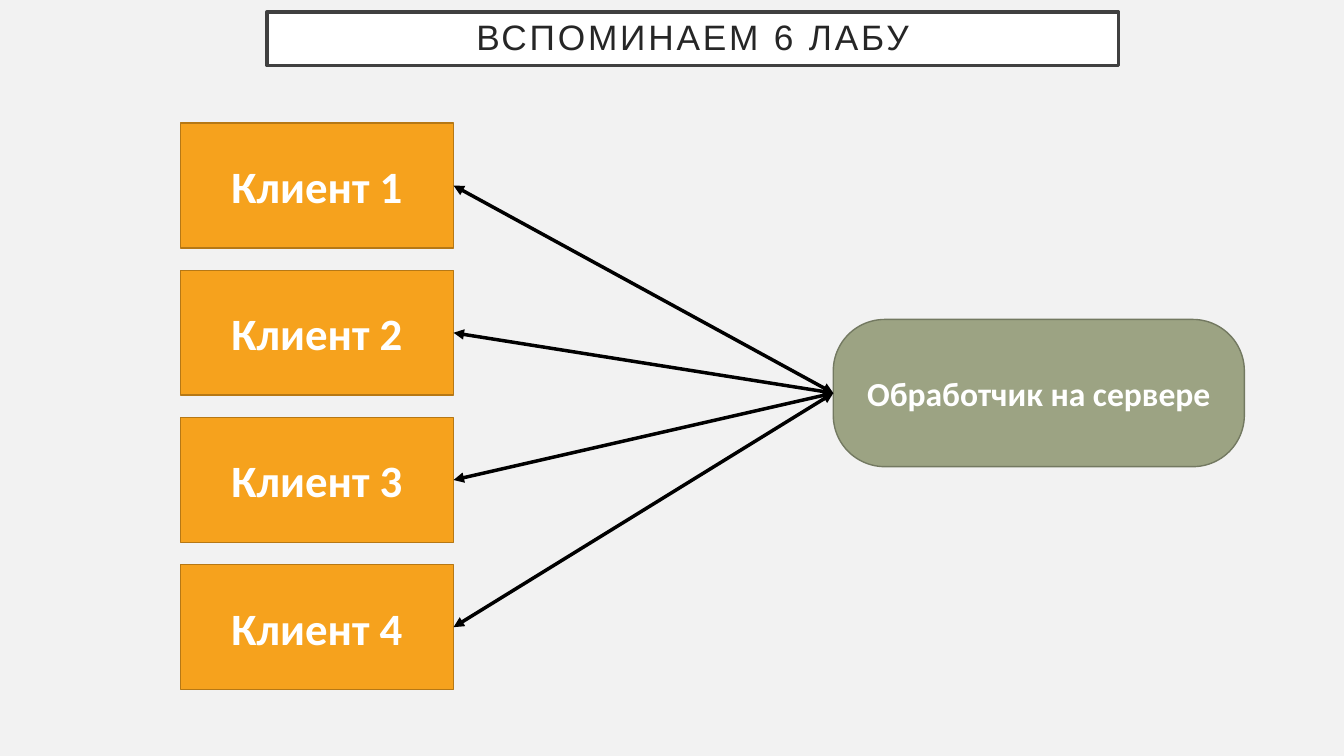
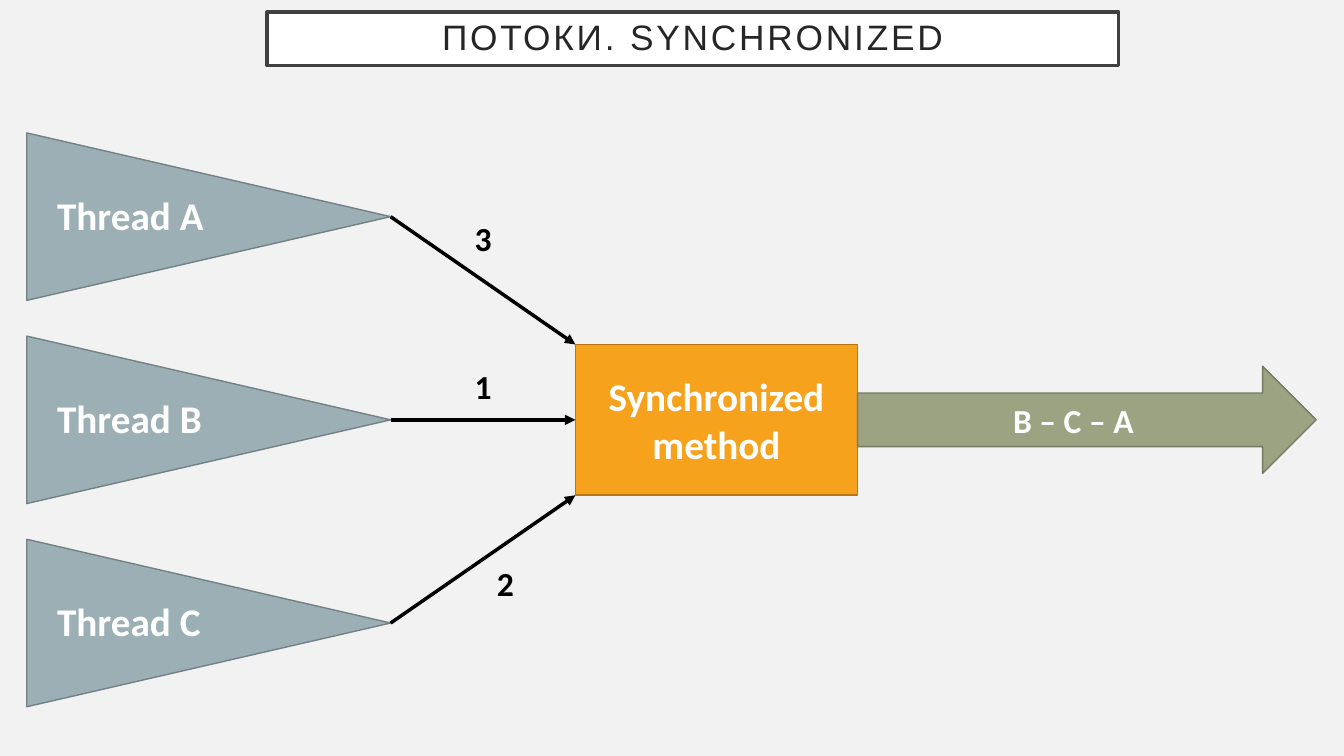
from dataclasses import dataclass

from lxml import etree
from pptx import Presentation
from pptx.dml.color import RGBColor
from pptx.enum.shapes import MSO_CONNECTOR, MSO_SHAPE
from pptx.enum.text import MSO_ANCHOR, MSO_AUTO_SIZE, PP_ALIGN
from pptx.oxml.ns import qn
from pptx.util import Cm, Pt

RECT = MSO_SHAPE.RECTANGLE
ROUND = MSO_SHAPE.ROUNDED_RECTANGLE
CONE = MSO_SHAPE.ISOSCELES_TRIANGLE
ARROW = MSO_SHAPE.RIGHT_ARROW
STRAIGHT = MSO_CONNECTOR.STRAIGHT
MIDDLE = MSO_ANCHOR.MIDDLE
GROW = MSO_AUTO_SIZE.SHAPE_TO_FIT_TEXT
LEFT, CENTER = PP_ALIGN.LEFT, PP_ALIGN.CENTER
WEST, EAST = 1, 3


@dataclass(frozen=True)
class Theme:
    back: str = "F2F2F2"
    white: str = "FFFFFF"
    black: str = "000000"
    ink: str = "262626"
    frame: tuple = ("FFFFFF", "404040")
    orange: tuple = ("F6A21D", "B67815")
    green: tuple = ("9CA383", "737961")
    blue: tuple = ("9BAFB5", "738186")
    head: str = "Arial"
    body: str = "Calibri"
    title: float = 25.2
    large: int = 32
    medium: int = 28
    small: int = 24
    thin: int = 1
    thick: float = 2.5


def apply(target, values):
    for name, value in values.items():
        setattr(target, name, value)


def color(code):
    return RGBColor.from_string(code)


class Deck:
    def __init__(self, theme):
        self.theme = theme
        self.file = Presentation()
        apply(self.file, {"slide_width": Cm(33.87), "slide_height": Cm(19.05)})
        fill = self.file.slide_master.background.fill
        fill.solid()
        fill.fore_color.rgb = color(theme.back)
        self.slide = None

    def page(self, title):
        t = self.theme
        self.slide = self.file.slides.add_slide(self.file.slide_layouts[6])
        box = self.shape(RECT, (6.73, 0.3, 21.46, 1.35), t.frame, t.thick)
        pad = Cm(0.51)
        apply(box.text_frame, {"margin_left": pad, "margin_right": pad,
                               "margin_top": pad, "margin_bottom": pad})
        para = self.letter(box, title, t.title, t.ink, name=t.head, bold=False)
        para.line_spacing = 0.9
        for props in box.element.iter(qn("a:rPr")):
            props.set("spc", "200")

    def shape(self, kind, area, pair, width=None):
        item = self.slide.shapes.add_shape(kind, *map(Cm, area))
        item.shadow.inherit = False
        item.fill.solid()
        item.fill.fore_color.rgb = color(pair[0])
        item.line.color.rgb = color(pair[1])
        item.line.width = Pt(width or self.theme.thin)
        return item

    def letter(self, item, text, size, ink=None, align=CENTER, **extra):
        item.text_frame.vertical_anchor = MIDDLE
        para = item.text_frame.paragraphs[0]
        para.alignment = align
        run = para.add_run()
        run.text = text
        apply(run.font, {"name": self.theme.body, "size": Pt(size), "bold": True, **extra})
        run.font.color.rgb = color(ink or self.theme.white)
        return para

    def box(self, kind, area, pair, text, size):
        item = self.shape(kind, area, pair)
        self.letter(item, text, size)
        return item

    def label(self, area, text, size, ink):
        item = self.slide.shapes.add_textbox(*map(Cm, area))
        self.letter(item, text, size, ink, LEFT)
        apply(item.text_frame, {"word_wrap": False, "auto_size": GROW})

    def link(self, start, end, ends=("tailEnd",)):
        item = self.slide.shapes.add_connector(STRAIGHT, *map(Cm, start + end))
        item.line.color.rgb = color(self.theme.black)
        item.line.width = Pt(self.theme.thick)
        props = item.element.spPr
        line = props.find(qn("a:ln"))
        for name in ends:
            etree.SubElement(line, qn("a:" + name), type="triangle")
        etree.SubElement(props, qn("a:effectLst"))
        return item


def clients(deck):
    t = deck.theme
    deck.page("ВСПОМИНАЕМ 6 ЛАБУ")
    left, top, wide, high, step = 4.55, 3.1, 6.88, 3.15, 3.71
    boxes = [deck.box(RECT, (left, top + row * step, wide, high), t.orange,
                      f"Клиент {row + 1}", t.large) for row in range(4)]
    server = deck.box(ROUND, (21, 8.05, 10.36, 3.71), t.green,
                      "Обработчик на сервере", t.small)
    server.adjustments[0] = 0.35
    for row, box in enumerate(boxes):
        link = deck.link((left + wide, top + row * step + high / 2), (21, 9.91),
                         ("headEnd", "tailEnd"))
        link.begin_connect(box, EAST)
        link.end_connect(server, WEST)


def threads(deck):
    t = deck.theme
    deck.page("ПОТОКИ. SYNCHRONIZED")
    mid, step = 10.58, 5.12
    base, long, left, wide, high = 4.22, 9.17, 14.5, 7.11, 3.8
    center = 5.26
    method = deck.box(RECT, (left, mid - high / 2, wide, high), t.orange,
                      "Synchronized method", t.medium)
    marks = (("A", "3", 11.71, 5.36), ("B", "1", 11.71, 9.09), ("C", "2", 12.27, 14.07))
    for row, (name, turn, x, y) in enumerate(marks, -1):
        axis = mid + row * step
        cone = deck.shape(CONE, (center - base / 2, axis - long / 2, base, long), t.blue)
        cone.rotation = 90
        deck.label((1.19, axis - 0.77, 4.88, 1.45), f"Thread {name}", t.medium, t.white)
        link = deck.link((center + long / 2, axis), (left, mid + row * high / 2))
        if row == 0:
            link.end_connect(method, WEST)
        deck.label((x, y, 0.94, 1.27), turn, t.small, t.black)
    deck.box(ARROW, (left + wide, mid - 1.35, 11.56, 2.7), t.green, "B – C – A", t.small)


def main():
    deck = Deck(Theme())
    clients(deck)
    threads(deck)
    deck.file.save("out.pptx")


if __name__ == "__main__":
    main()
